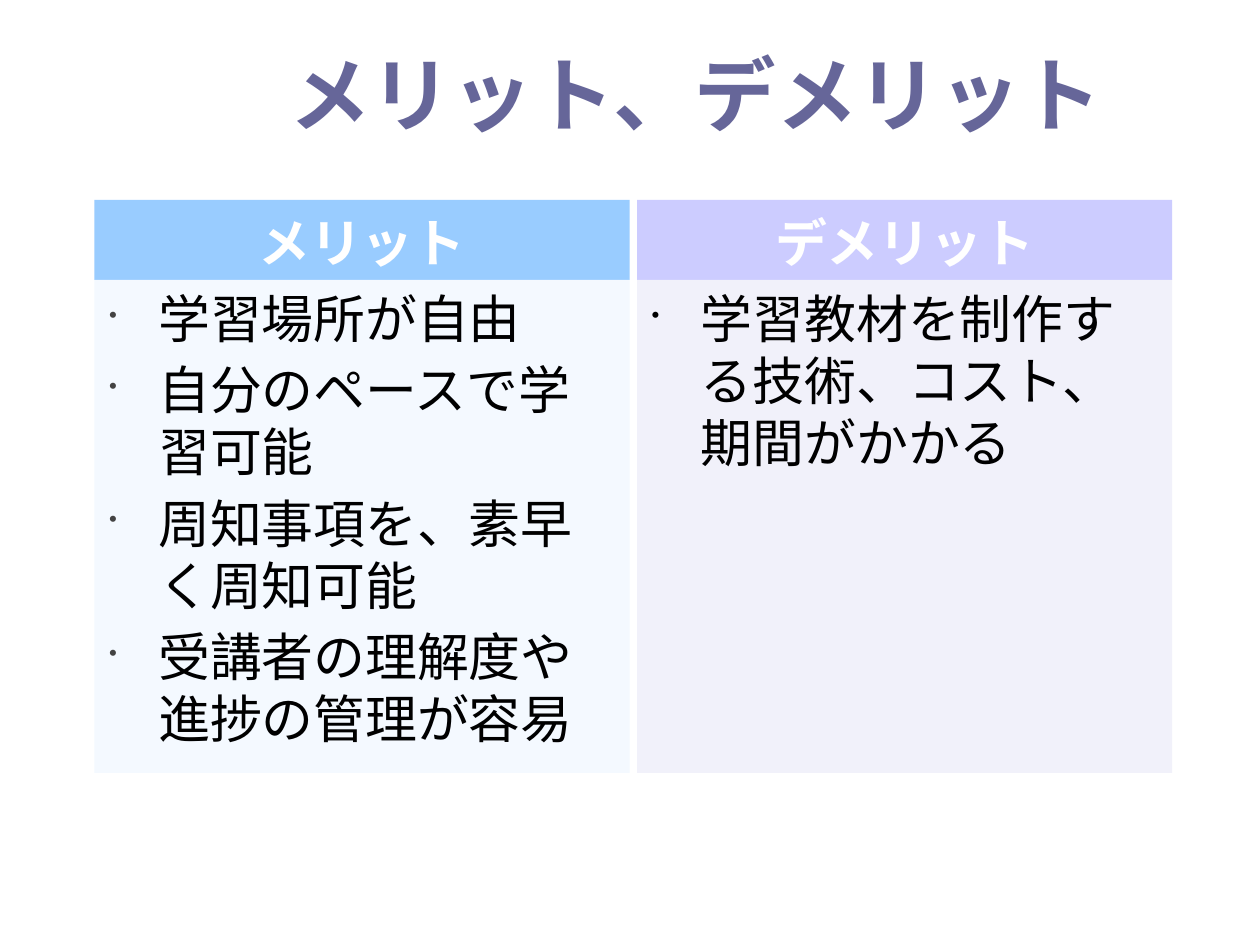
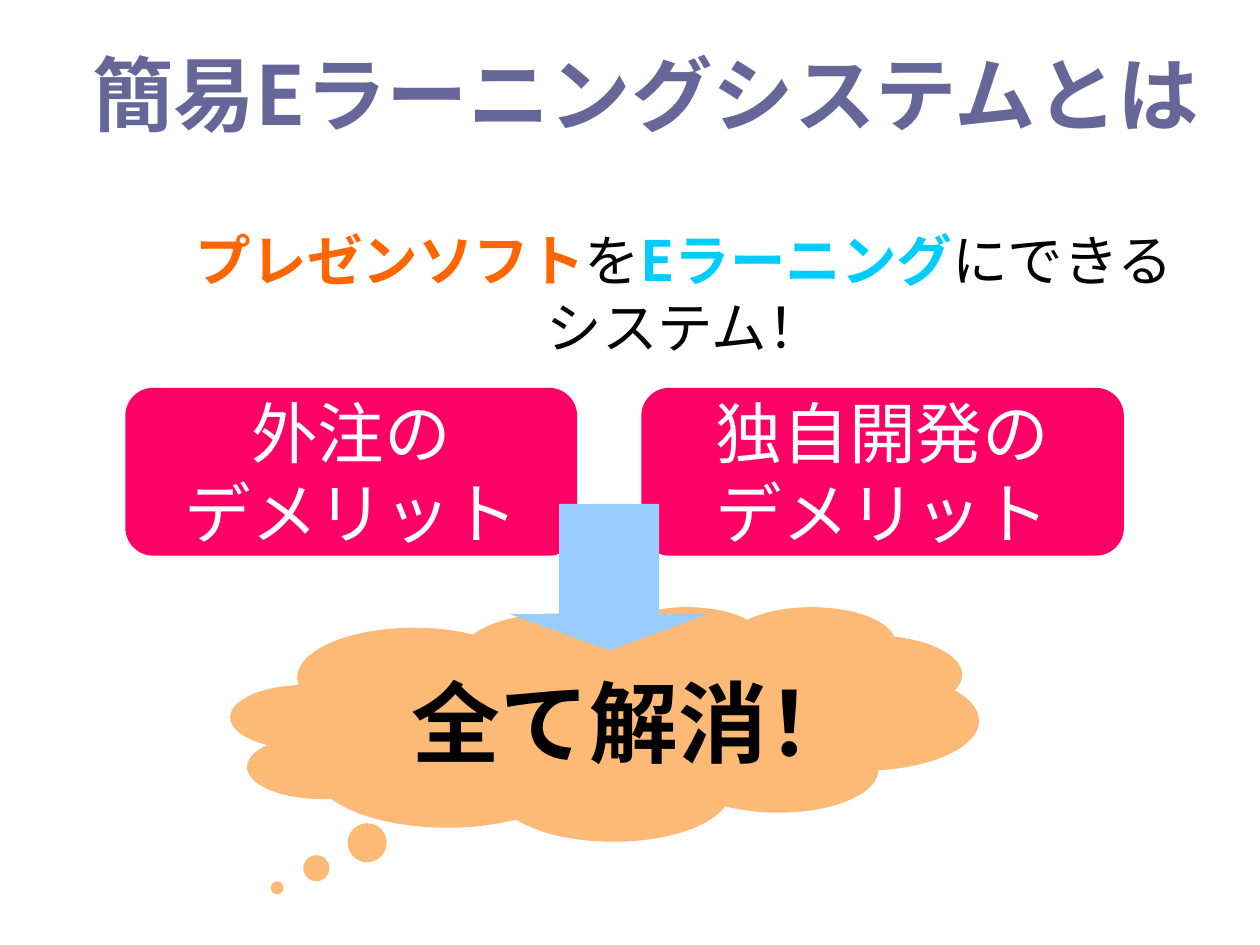
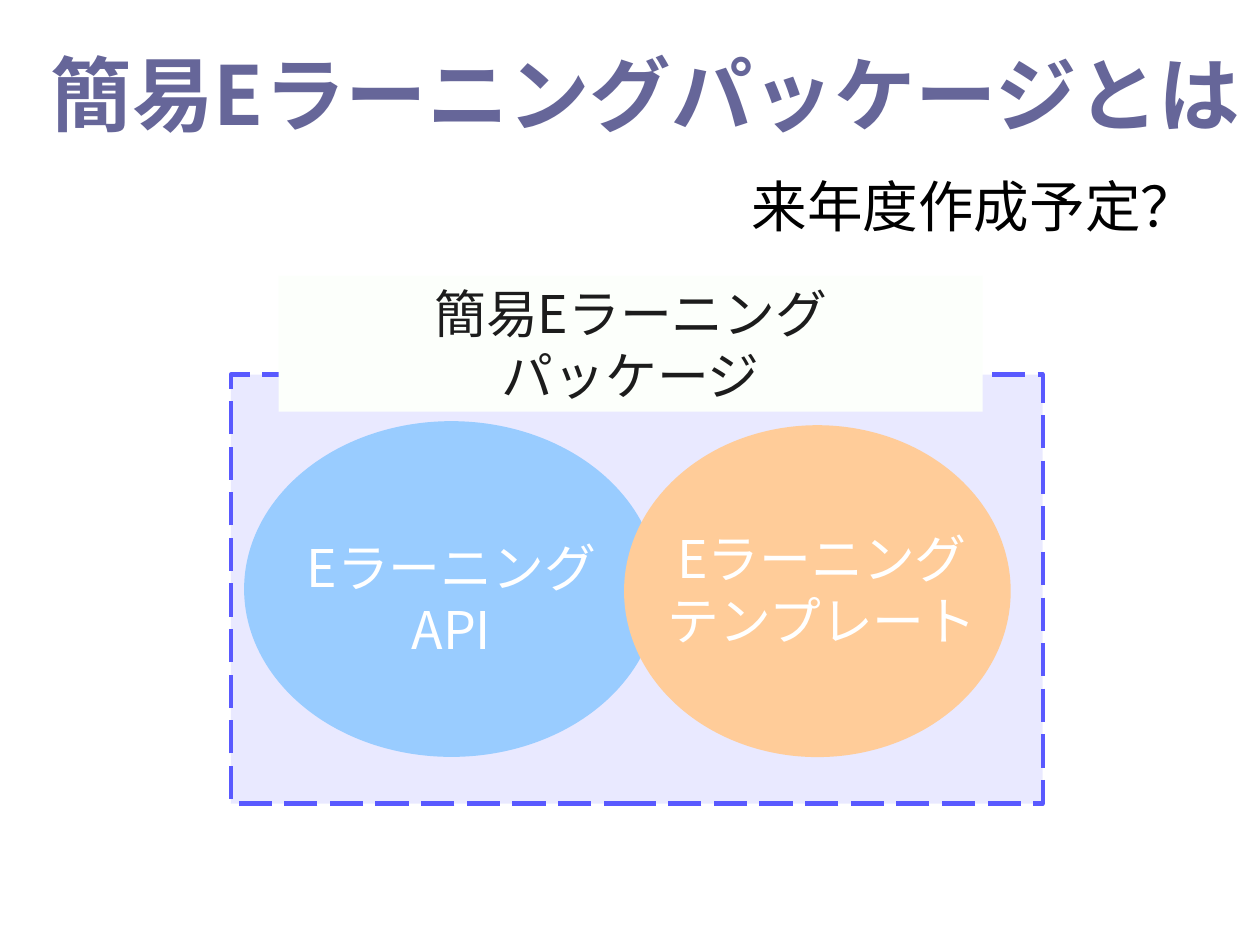
from lxml import etree
from pptx import Presentation
from pptx.dml.color import RGBColor
from pptx.enum.dml import MSO_LINE
from pptx.enum.shapes import MSO_SHAPE
from pptx.enum.text import MSO_ANCHOR, PP_ALIGN
from pptx.oxml.ns import qn
from pptx.util import Pt

RECT, ROUND, OVAL = MSO_SHAPE.RECTANGLE, MSO_SHAPE.ROUNDED_RECTANGLE, MSO_SHAPE.OVAL
CLOUD, DOWN = MSO_SHAPE.CLOUD_CALLOUT, MSO_SHAPE.DOWN_ARROW
LEFT, CENTER = PP_ALIGN.LEFT, PP_ALIGN.CENTER
TOP, MIDDLE, BOTTOM = MSO_ANCHOR.TOP, MSO_ANCHOR.MIDDLE, MSO_ANCHOR.BOTTOM
LONG_DASH = MSO_LINE.LONG_DASH

FONT = "Noto Sans CJK JP"
COLORS = {
    "title": "666699", "black": "000000", "white": "FFFFFF", "ink": "1C1C1C",
    "blue": "99CCFF", "pale blue": "F4F9FF", "lilac": "CCCCFF", "pale lilac": "F1F1FA",
    "gray": "434343", "pink": "FF0066", "orange": "FF6600", "cyan": "00CCFF",
    "cloud": "FDBA77", "peach": "FFCC99", "frame": "E1E1FF", "frame line": "5959FF",
    "label": "FCFFFB",
}


def add_element(parent, tag, **attributes):
    return etree.SubElement(parent, qn(tag), attributes)


def set_bullet(para, color):
    """Give the paragraph a small hanging bullet."""
    properties = para._p.get_or_add_pPr()
    properties.set("marL", str(Pt(27.4)))
    properties.set("indent", str(-Pt(26.6)))
    bullet_color = add_element(properties, "a:buClr")
    add_element(bullet_color, "a:srgbClr", val=COLORS[color])
    add_element(properties, "a:buSzPct", val="45000")
    add_element(properties, "a:buChar", char="•")


def write_text(box, paras, size=28, color="black", bold=False, align=CENTER,
               anchor=TOP, before=0, bullet=None):
    """Write paragraphs; each is a string or a list of (text, color, bold) spans."""
    frame = box.text_frame
    frame.word_wrap = True
    frame.vertical_anchor = anchor
    for index, content in enumerate(paras):
        para = frame.add_paragraph() if index else frame.paragraphs[0]
        para.alignment = align
        para.space_before = Pt(before)
        if bullet:
            set_bullet(para, bullet)
        spans = [(content, color, bold)] if isinstance(content, str) else content
        for text, span_color, span_bold in spans:
            span = para.add_run()
            span.text = text
            span.font.size = Pt(size)
            span.font.bold = span_bold
            span.font.name = FONT
            span.font.color.rgb = RGBColor.from_string(COLORS[span_color])
            add_element(span._r.get_or_add_rPr(), "a:ea", typeface=FONT)


class Deck:
    def __init__(self, width, height):
        self.file = Presentation()
        self.file.slide_width, self.file.slide_height = Pt(width), Pt(height)
        self.page = None

    def add_page(self):
        self.page = self.file.slides.add_slide(self.file.slide_layouts[6])

    def title(self, text, left, width):
        self.text([text], left, 20.2, width, 85, size=44, color="title", bold=True)

    def text(self, paras, left, top, width, height, **style):
        box = self.page.shapes.add_textbox(Pt(left), Pt(top), Pt(width), Pt(height))
        write_text(box, paras, **style)

    def shape(self, kind, left, top, width, height, fill, paras=(), adjust=(), **style):
        box = self.page.shapes.add_shape(kind, Pt(left), Pt(top), Pt(width), Pt(height))
        box.shadow.inherit = False
        box.fill.solid()
        box.fill.fore_color.rgb = RGBColor.from_string(COLORS[fill])
        box.line.fill.background()
        for index, value in enumerate(adjust):
            box.adjustments[index] = value
        write_text(box, paras, **style)
        return box

    def dashed_frame(self, left, top, width, height):
        box = self.shape(RECT, left, top, width, height, "frame")
        color = box.fill._xPr.find(qn("a:solidFill"))[0]
        add_element(color, "a:alpha", val="70000")
        box.line.color.rgb = RGBColor.from_string(COLORS["frame line"])
        box.line.width = Pt(2.25)
        box.line.dash_style = LONG_DASH

    def column(self, left, heading, items, fill, pale, bullet):
        width = 289
        self.shape(RECT, left, 108, width, 43.2, fill, [heading], color="white",
                   bold=True, anchor=BOTTOM, before=6.4)
        self.shape(RECT, left, 151.2, width, 266.4, pale, items, align=LEFT,
                   before=4.9, bullet=bullet)


def merits_page(deck):
    deck.add_page()
    deck.title("メリット、デメリット", 93.6, 564.5)
    deck.column(51, "メリット",
                ["学習場所が自由", "自分のペースで学習可能", "周知事項を、素早く周知可能",
                 "受講者の理解度や進捗の管理が容易"],
                "blue", "pale blue", "gray")
    deck.column(344, "デメリット", ["学習教材を制作する技術、コスト、期間がかかる"],
                "lilac", "pale lilac", "black")


def system_page(deck):
    deck.add_page()
    deck.title("簡易Eラーニングシステムとは", 39.6, 618.5)
    deck.text([[("プレゼンソフト", "orange", True), ("を", "black", False),
                ("Eラーニング", "cyan", True), ("にできるシステム！", "black", False)]],
              92.9, 118.8, 553.7, 90.7, size=30, before=6.4)
    # Problems
    for left, width, source in ((67.7, 244, "外注の"), (346.3, 260.6, "独自開発の")):
        deck.shape(ROUND, left, 209.5, width, 90.7, "pink", [source, "デメリット"],
                   adjust=(0.167,), size=36, color="white", anchor=MIDDLE)
    # Outcome
    deck.shape(CLOUD, 124.6, 327.6, 403.9, 126.7, "cloud", adjust=(-0.438, 0.7))
    deck.shape(DOWN, 275, 272.2, 108, 79.2, "blue", adjust=(0.5, 0.25))
    deck.text(["全て解消！"], 215.3, 357.1, 305.3, 64.8, size=48, bold=True, align=LEFT)


def package_page(deck):
    deck.add_page()
    deck.dashed_frame(124.6, 202.3, 438.5, 231.8)
    deck.title("簡易Eラーニングパッケージとは", 0, 697.7)
    # Overlapping parts of the package
    deck.shape(OVAL, 131.8, 227.5, 223.9, 181.4, "blue")
    deck.text(["Eラーニング", "API"], 124.6, 285.8, 238.3, 74.2, color="white")
    deck.shape(OVAL, 337, 229.7, 208.8, 179.3, "peach")
    deck.text(["Eラーニング", "テンプレート"], 324.7, 280.8, 238.3, 74.2, color="white")
    # Labels
    deck.text(["来年度作成予定？"], 398.9, 89.3, 281.5, 45.4, size=30, align=LEFT, before=6.4)
    deck.shape(RECT, 150.5, 149, 380.2, 73.4, "label", ["簡易Eラーニング", "パッケージ"],
               color="ink", anchor=MIDDLE)


def main():
    deck = Deck(680.4, 510.5)
    for build in (merits_page, system_page, package_page):
        build(deck)
    deck.file.save("out.pptx")


if __name__ == "__main__":
    main()
